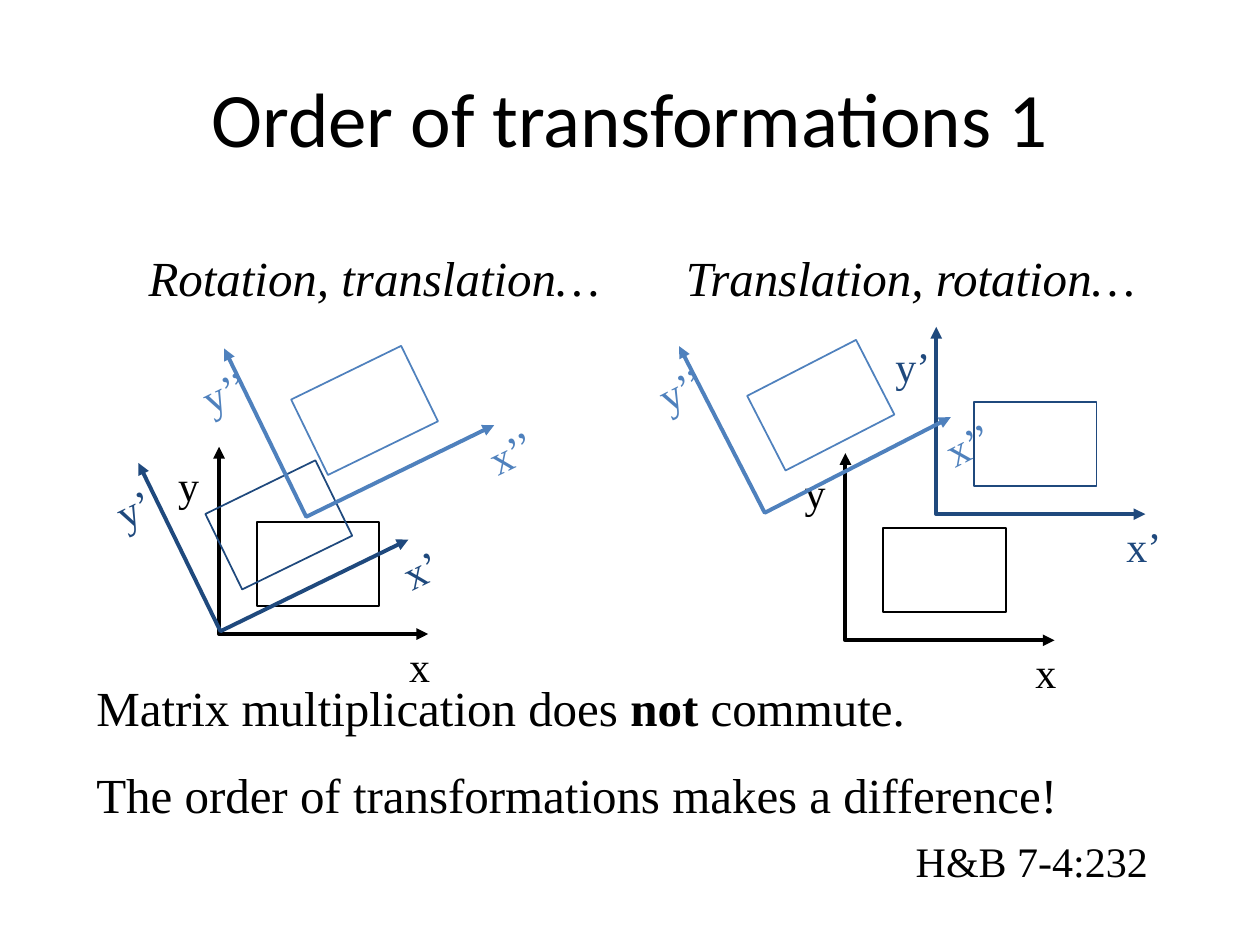
import math
import pptx
import pptx.dml.color
import pptx.enum.shapes
import pptx.enum.text
import pptx.oxml
import pptx.oxml.ns
import pptx.util

Pt = pptx.util.Pt

THEME = {
    "black": "000000", "navy": "1F497D", "blue": "4F81BD",
    "heading": "Calibri", "body": "Times New Roman",
    "title_size": 44, "text_size": 28, "label_size": 24,
    "axis_width": 2.25, "box_width": 1,
}

TITLE = "Order of transformations 1"
SUBTITLES = "Rotation, translation…\tTranslation, rotation…"
SUBTITLE_TAB = 307
CONCLUSIONS = [
    [("Matrix multiplication does ", False), ("not ", True), ("commute.", False)],
    [("The order of transformations makes a difference!", False)],
]
REFERENCE = "H&B 7-4:232"

FRAMES = [
    ((125.2, 362.3), 0, "black", ""),
    ((126, 360.7), -26, "navy", "’"),
    ((175, 295.3), -26, "blue", "’’"),
    ((483.1, 365.9), 0, "black", ""),
    ((535, 293.8), 0, "navy", "’"),
    ((437, 293), -27.2, "blue", "’’"),
]
AXES = (0, -107, 119.5, 107)
RECTANGLE = (21.6, -64, 70, 48)
LABELS = [("x", 101.5, 0), ("y", -30.4, -103)]
LABEL_WIDTHS = {"": 26.6, "’": 34.6, "’’": 42.5}
LABEL_HEIGHT = 36

deck = pptx.Presentation()
deck.slide_width, deck.slide_height = Pt(720), Pt(540)
page = deck.slides.add_slide(deck.slide_layouts[6])


def color(name):
    return pptx.dml.color.RGBColor.from_string(THEME[name])


def add_text(area, paragraphs, size, font="body", tint="black", italic=False,
             wrap=True, centered=False, gap=0, tab=None):
    box = page.shapes.add_textbox(*map(Pt, area))
    frame = box.text_frame
    frame.word_wrap = wrap
    if centered:
        frame.vertical_anchor = pptx.enum.text.MSO_ANCHOR.MIDDLE
    else:
        frame.auto_size = pptx.enum.text.MSO_AUTO_SIZE.SHAPE_TO_FIT_TEXT
    for index, spans in enumerate(paragraphs):
        para = frame.add_paragraph() if index else frame.paragraphs[0]
        if tab:
            stops = pptx.oxml.parse_xml(
                f'<a:tabLst {pptx.oxml.ns.nsdecls("a")}>'
                f'<a:tab pos="{int(Pt(tab))}" algn="l"/></a:tabLst>')
            para._p.get_or_add_pPr().append(stops)
        if centered:
            para.alignment = pptx.enum.text.PP_ALIGN.CENTER
        if index and gap:
            para.space_before = Pt(gap)
        for text, bold in spans:
            span = para.add_run()
            span.text = text
            span.font.name = THEME[font]
            span.font.size = Pt(THEME[size])
            span.font.color.rgb = color(tint)
            span.font.bold = bold
            span.font.italic = italic
    return box


def outline(shape, tint, width):
    shape.shadow.inherit = False
    shape.fill.background()
    shape.line.color.rgb = color(tint)
    shape.line.width = Pt(THEME[width])


def turned_area(origin, angle, area):
    left, top, width, height = area
    across, down = left + width / 2, top + height / 2
    cosine, sine = math.cos(math.radians(angle)), math.sin(math.radians(angle))
    return (origin[0] + across * cosine - down * sine - width / 2,
            origin[1] + across * sine + down * cosine - height / 2,
            width, height)


def add_axes(area, tint):
    left, top, width, height = area
    right, bottom = left + width, top + height
    builder = page.shapes.build_freeform(Pt(left), Pt(top))
    builder.add_line_segments(
        [(Pt(left), Pt(bottom)), (Pt(right), Pt(bottom))], close=False)
    axes = builder.convert_to_shape()
    outline(axes, tint, "axis_width")
    for end in ("headEnd", "tailEnd"):
        axes.line._get_or_add_ln().append(pptx.oxml.parse_xml(
            f'<a:{end} {pptx.oxml.ns.nsdecls("a")} type="triangle"/>'))
    return axes


def add_frame(origin, angle, tint, primes):
    axes = add_axes(turned_area(origin, angle, AXES), tint)
    rectangle = page.shapes.add_shape(
        pptx.enum.shapes.MSO_SHAPE.RECTANGLE,
        *map(Pt, turned_area(origin, angle, RECTANGLE)))
    outline(rectangle, tint, "box_width")
    parts = [axes, rectangle]
    for letter, left, top in LABELS:
        area = (left, top, LABEL_WIDTHS[primes], LABEL_HEIGHT)
        parts.append(add_text(turned_area(origin, angle, area),
                              [[(letter + primes, False)]], "label_size",
                              tint=tint, wrap=False))
    for part in parts:
        part.rotation = angle


add_text((36, 21.6, 648, 90), [[(TITLE, False)]], "title_size",
         font="heading", centered=True)
for specification in FRAMES:
    add_frame(*specification)
add_text((48, 383.8, 612, 91.4), CONCLUSIONS, "text_size", gap=16)
add_text((77.8, 138.2, 612, 41), [[(SUBTITLES, False)]], "text_size",
         italic=True, tab=SUBTITLE_TAB)
add_text((516.2, 473.8, 148.3, 36.7), [[(REFERENCE, False)]], "label_size",
         wrap=False)

deck.save("out.pptx")
